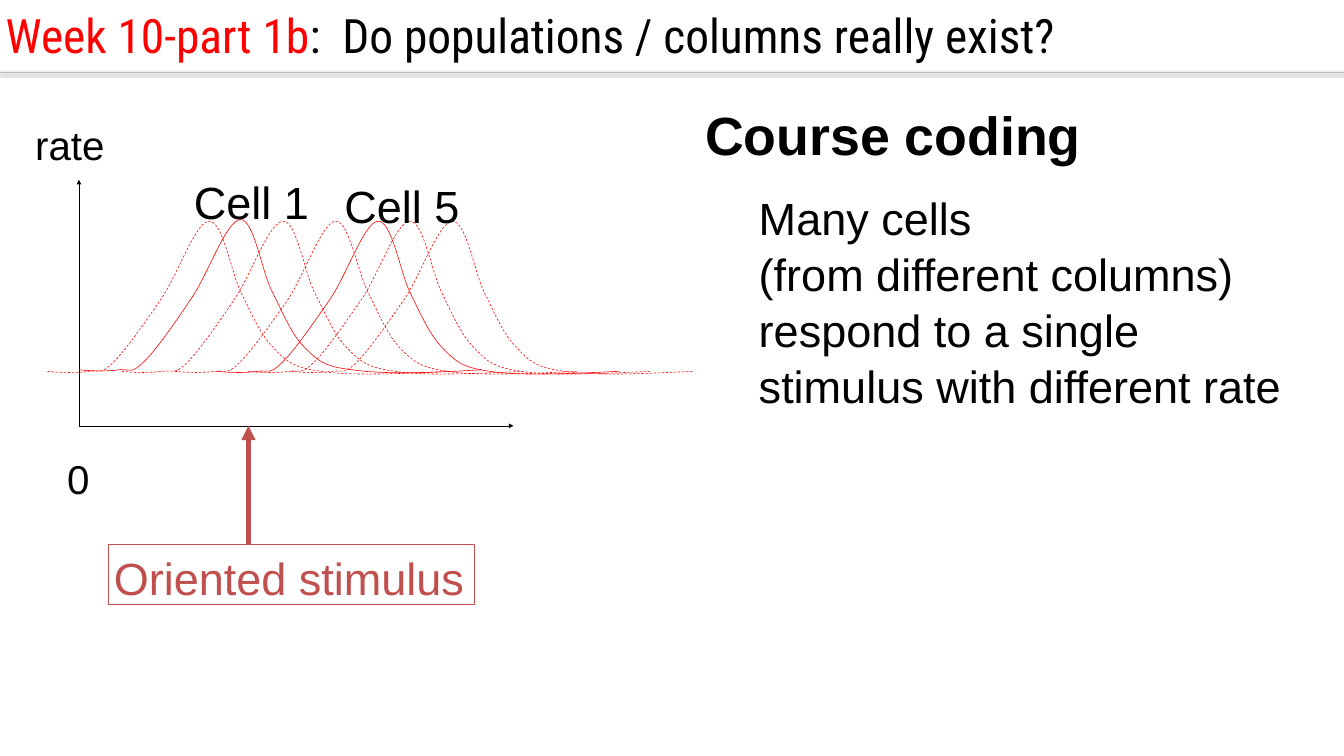
from dataclasses import dataclass
from lxml import etree
from pptx import Presentation
from pptx import util as u
from pptx.dml import color
from pptx.enum import dml, shapes, text
from pptx.oxml.ns import qn


@dataclass(frozen=True)
class Theme:
    ink: str = "000000"
    red: str = "FF0000"
    brick: str = "C0504D"
    rule: str = "BFBFBF"
    sans: str = "Arial"
    head: str = "Roboto Condensed"
    small: int = 51
    body: int = 57
    title: int = 60
    large: int = 68
    thin: float = 0.75


# One tuning curve, relative to its left foot: start, then cubic triples
BELL = [
    (0, 0),
    (19, 1.5), (37, 2), (51, 0),
    (65, -1.5), (66, 5), (81.5, -10),
    (97, -25), (122, -60), (142.5, -90),
    (163, -120), (186.5, -188.5), (203.5, -190.5),
    (221, -192), (231, -127), (244.5, -100),
    (258, -73.5), (268.5, -47), (285, -29.5),
    (302, -13), (309, -5), (346, 0),
    (384, 6), (446, 3), (509, 0),
]


class Board:
    def __init__(self, slide, theme):
        self.slide, self.theme = slide, theme

    def rgb(self, tone):
        return color.RGBColor.from_string(tone)

    def pen(self, line, tone, width):
        line.color.rgb = self.rgb(tone)
        line.width = u.Pt(width)

    def style(self, font, size, tone, face=None, bold=False):
        font.name = face or self.theme.sans
        font.size = u.Pt(size)
        font.bold = bold
        font.color.rgb = self.rgb(tone)

    def inset(self, frame, left, top):
        frame.margin_left = frame.margin_right = u.Pt(left)
        frame.margin_top = frame.margin_bottom = u.Pt(top)

    def title(self, lead, rest):
        t = self.theme
        box = self.slide.shapes.title
        box.left, box.top, box.width, box.height = map(u.Pt, (0, 0, 1642, 116))
        frame = box.text_frame
        frame.auto_size = text.MSO_AUTO_SIZE.NONE
        frame.vertical_anchor = text.MSO_ANCHOR.TOP
        self.inset(frame, 7.2, 8)
        par = frame.paragraphs[0]
        par.alignment = text.PP_ALIGN.LEFT
        for words, tone in ((lead, t.red), (rest, t.ink)):
            run = par.add_run()
            run.text = words
            self.style(run.font, t.title, tone, t.head)

    def label(self, lines, x, y, w, h, size, bold=False):
        box = self.slide.shapes.add_textbox(*map(u.Pt, (x, y, w, h)))
        frame = box.text_frame
        frame.word_wrap = True
        self.inset(frame, 15, 8)
        for i, words in enumerate(lines):
            par = frame.add_paragraph() if i else frame.paragraphs[0]
            par.text = words
            if i:
                par.space_before = u.Pt(2.8)
            self.style(par.font, size, self.theme.ink, bold=bold)

    def frame(self, words, x, y, w, h, tone):
        box = self.slide.shapes.add_shape(
            shapes.MSO_SHAPE.RECTANGLE, *map(u.Pt, (x, y, w, h)))
        box.shadow.inherit = False
        box.fill.background()
        self.pen(box.line, tone, self.theme.thin)
        body = box.text_frame
        body.word_wrap = True
        body.vertical_anchor = text.MSO_ANCHOR.MIDDLE
        self.inset(body, 7.2, 3.6)
        body.margin_top = u.Pt(12)
        par = body.paragraphs[0]
        par.text = words
        par.alignment = text.PP_ALIGN.LEFT
        self.style(par.font, self.theme.body, tone)

    def line(self, x1, y1, x2, y2, tone, width, arrow=False, shade=False):
        link = self.slide.shapes.add_connector(
            shapes.MSO_CONNECTOR.STRAIGHT, *map(u.Pt, (x1, y1, x2, y2)))
        self.pen(link.line, tone, width)
        props = link._element.spPr
        if arrow:
            etree.SubElement(props.find(qn("a:ln")), qn("a:tailEnd"),
                             type="triangle")
        effect = etree.SubElement(props, qn("a:effectLst"))
        if shade:
            cast = etree.SubElement(
                effect, qn("a:outerShdw"), blurRad=str(u.Pt(3.1)),
                dist=str(u.Pt(1.6)), dir="5400000", rotWithShape="0")
            tint = etree.SubElement(cast, qn("a:srgbClr"), val=self.theme.ink)
            etree.SubElement(tint, qn("a:alpha"), val="38000")

    def curve(self, x, y, dash=True):
        spots = [(x + dx, y + dy) for dx, dy in BELL]
        pen = self.slide.shapes.build_freeform(*spots[0], scale=u.Pt(1))
        pen.add_line_segments(spots[1:], close=False)
        bell = pen.convert_to_shape()
        bell.shadow.inherit = False
        bell.fill.background()
        self.pen(bell.line, self.theme.red, self.theme.thin)
        if dash:
            bell.line.dash_style = dml.MSO_LINE.DASH
        # Turn each triple of points into one cubic segment
        track = bell._element.find(".//" + qn("a:path"))
        steps = track.findall(qn("a:lnTo"))
        for i in range(0, len(steps), 3):
            cubic = etree.SubElement(track, qn("a:cubicBezTo"))
            for step in steps[i:i + 3]:
                cubic.append(step[0])
                track.remove(step)


def main():
    deck = Presentation()
    deck.slide_width, deck.slide_height = u.Pt(1701.36), u.Pt(956.88)
    t = Theme()
    board = Board(deck.slides.add_slide(deck.slide_layouts[5]), t)

    # Title and rule
    board.title("Week 10-part 1b", ":  Do populations / columns really exist?")
    board.line(0, 92, 1701.36, 92, t.rule, 2, shade=True)

    # Axes
    for x, y in ((650, 539), (100, 227.5)):
        board.line(100, 539, x, y, t.ink, t.thin, arrow=True)
    board.label(["0"], 70, 567, 60, 77, t.small)
    board.label(["rate"], 29.5, 144.5, 125, 77, t.small)

    # Tuning curves: solid for the named cells, dashed for the rest
    board.curve(100, 468.5, dash=False)
    board.curve(274.5, 470, dash=False)
    for x in (314.5, 221, 154, 60.5, 368.5):
        board.curve(x, 470)
    board.label(["Cell 1"], 230.5, 212.5, 190, 84, t.body)
    board.label(["Cell 5"], 421, 217.5, 190, 84, t.body)

    # Stimulus
    board.line(314.5, 690, 314.5, 539, t.brick, 6, arrow=True)
    board.frame("Oriented stimulus", 137, 689, 463, 76.5, t.brick)

    # Explanation
    board.label(["Course coding"], 877.5, 121, 530, 98, t.large, bold=True)
    board.label(["Many cells", "(from different columns)",
                 "respond to a single", "stimulus with different rate"],
                945.5, 232.5, 730, 292, t.body)

    deck.save("out.pptx")


if __name__ == "__main__":
    main()
